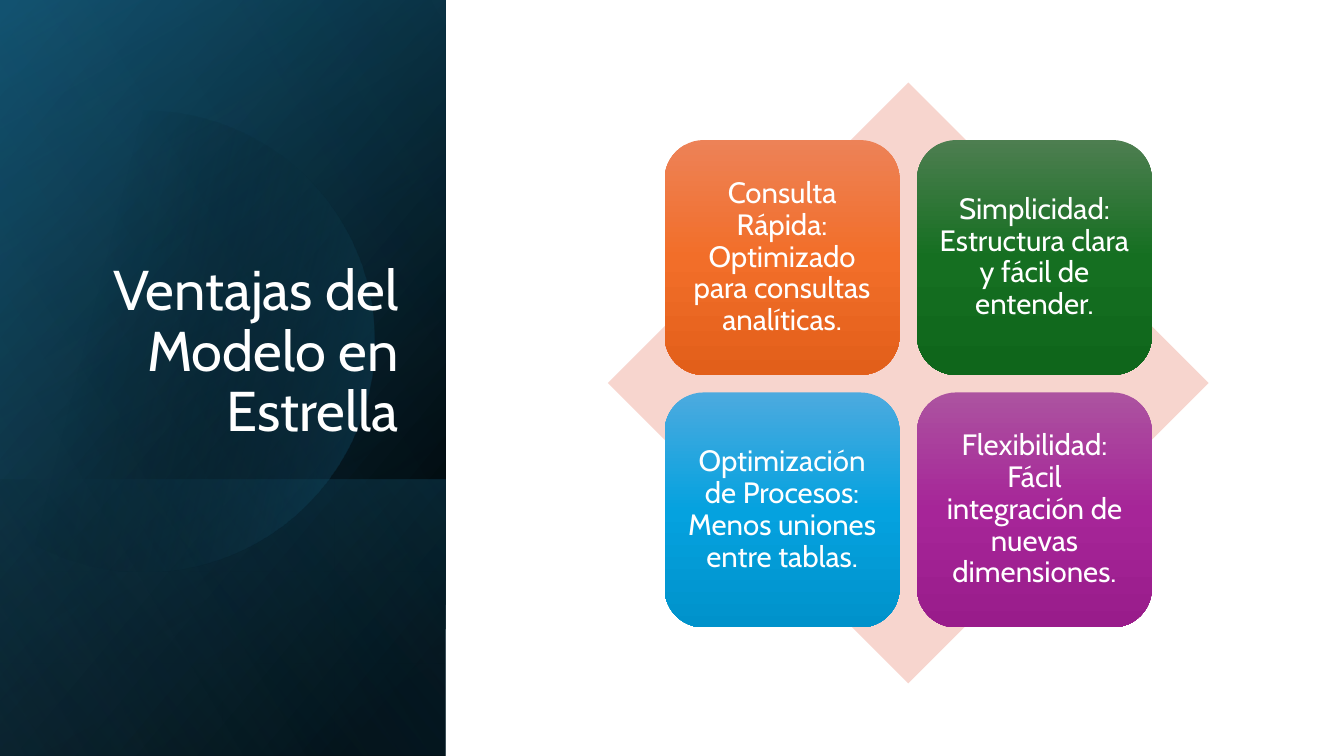
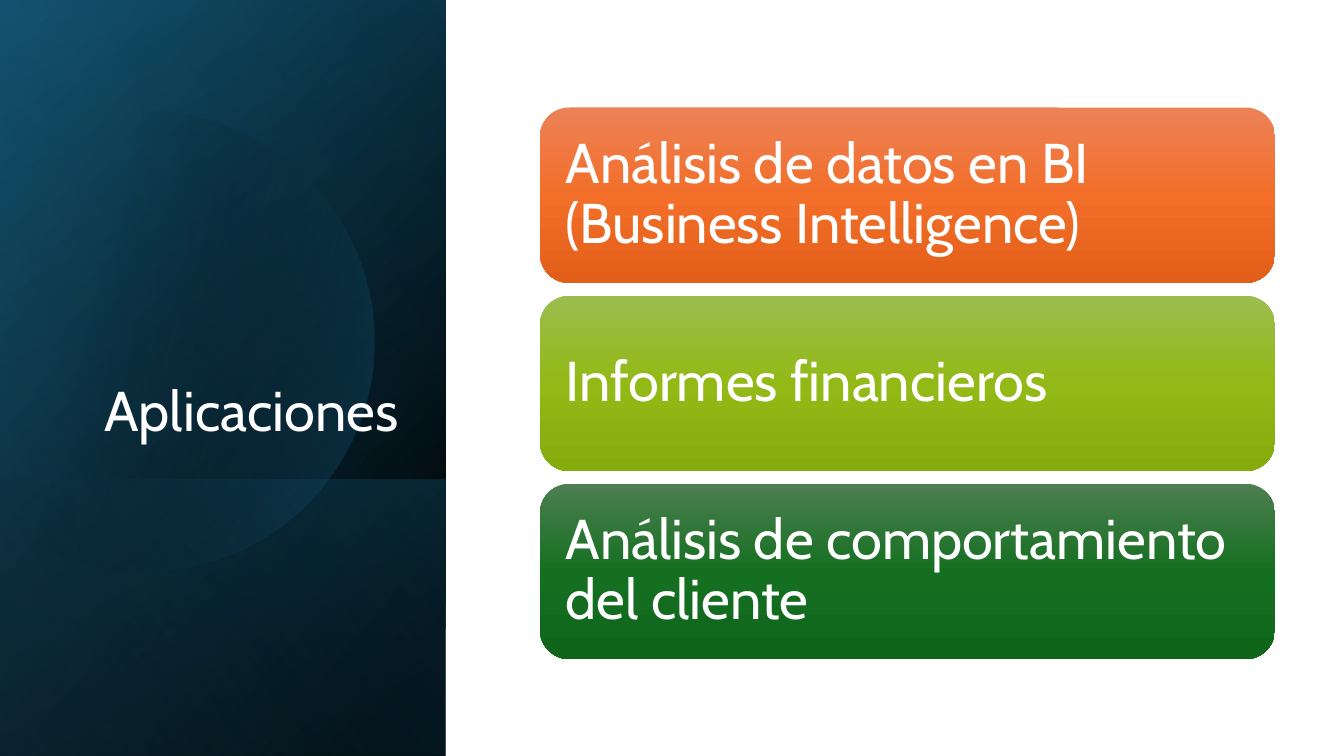
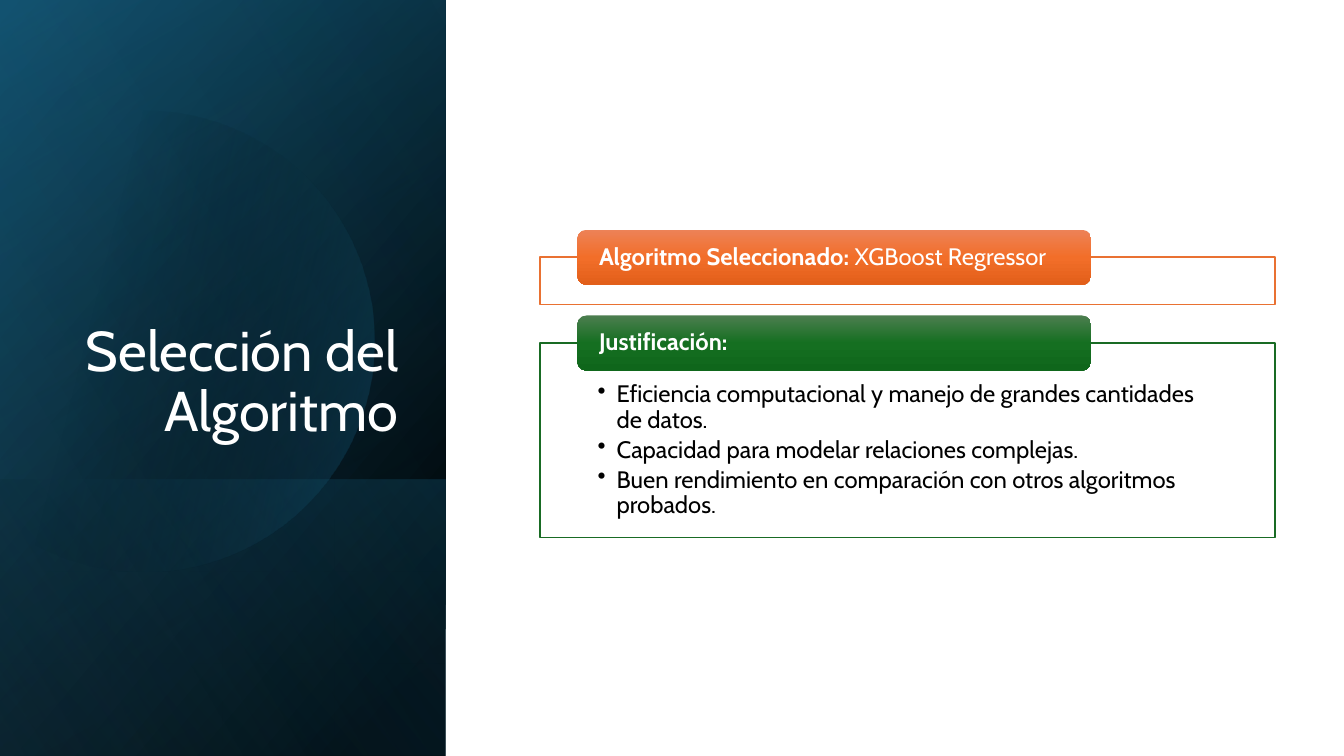
import math

from lxml import etree
from pptx import Presentation
from pptx.dml.color import RGBColor
from pptx.enum import shapes, text
from pptx.oxml import ns
from pptx.util import Cm, Pt

FONT = "Cabin"
WHITE, BLACK = "FFFFFF", "000000"
ORANGE = [(0, "ED8257"), (50, "F26E29"), (100, "E25F1A")]
LIME = [(0, "9CBD4E"), (50, "92B916"), (100, "85AB0D")]
GREEN = [(0, "4D7E50"), (50, "156F21"), (100, "0F661B")]
BLUE = [(0, "4CAADF"), (50, "05A2DF"), (100, "0092CB")]
PURPLE = [(0, "AC53A0"), (50, "A62598"), (100, "991C8B")]
SHAPE = shapes.MSO_SHAPE
LEFT, CENTER, RIGHT = (text.PP_ALIGN.LEFT, text.PP_ALIGN.CENTER,
                       text.PP_ALIGN.RIGHT)


def paint_gradient(sp, stops, angle=90):
    """Fill with (position %, colour[, opacity %]) stops; no line, no shadow."""
    sp.shadow.inherit = False
    sp.line.fill.background()
    sp.fill.background()
    grad = etree.Element(ns.qn("a:gradFill"), rotWithShape="1")
    gs_list = etree.SubElement(grad, ns.qn("a:gsLst"))
    for pos, color, *opacity in stops:
        gs = etree.SubElement(gs_list, ns.qn("a:gs"), pos=str(pos * 1000))
        clr = etree.SubElement(gs, ns.qn("a:srgbClr"), val=color)
        for pct in opacity:
            etree.SubElement(clr, ns.qn("a:alpha"), val=str(pct * 1000))
    etree.SubElement(grad, ns.qn("a:lin"), ang=str(angle * 60000), scaled="0")
    sp_pr = sp.element.spPr
    sp_pr.replace(sp_pr.find(ns.qn("a:noFill")), grad)


def format_text(tf, size, align, color=WHITE, insets=(0.25, 0.13, 0.25, 0.13),
                anchor=text.MSO_ANCHOR.MIDDLE):
    """Insets are left, top, right, bottom in cm."""
    tf.word_wrap = True
    tf.auto_size = text.MSO_AUTO_SIZE.NONE
    tf.vertical_anchor = anchor
    (tf.margin_left, tf.margin_top,
     tf.margin_right, tf.margin_bottom) = [Cm(v) for v in insets]
    for p in tf.paragraphs:
        p.alignment = align
        p.line_spacing = 0.9
        for r in p.runs:
            r.font.name = FONT
            r.font.size = Pt(size)
            r.font.color.rgb = RGBColor.from_string(color)


prs = Presentation()
prs.slide_width, prs.slide_height = Cm(33.87), Cm(19.05)

# Title-only layout: title position and dark side panel
layout = prs.slide_layouts[5]
for ph in list(layout.placeholders):
    if ph.placeholder_format.type == shapes.PP_PLACEHOLDER.TITLE:
        ph.left, ph.top, ph.width, ph.height = Cm(1.63), Cm(4.67), Cm(8.66), Cm(6.65)
    else:
        ph.element.getparent().remove(ph.element)

slides = []
for title in ("Ventajas del Modelo en Estrella", "Aplicaciones",
              "Selección del Algoritmo"):
    s = prs.slides.add_slide(layout)
    s.shapes.title.text_frame.text = title
    format_text(s.shapes.title.text_frame, 40, RIGHT,
                anchor=text.MSO_ANCHOR.BOTTOM)
    slides.append(s)
advantages, applications, algorithm = slides

PANEL_W, PANEL_H = 11.23, 19.05
panel = []
for top, height, angle, stops in (
        (0, PANEL_H, 50, [(8, BLACK), (100, "104862")]),
        (0, PANEL_H, 30, [(0, BLACK, 0), (99, "156082", 46)]),
        (12.09, 6.96, 130, [(2, "156082", 29), (100, BLACK, 30)]),
        (0, PANEL_H, 120, [(0, BLACK, 0), (99, "46B1E1", 11)])):
    # A quarter turn swaps width and height around the centre
    shift = (PANEL_W - height) / 2
    sp = advantages.shapes.add_shape(SHAPE.RECTANGLE, Cm(shift), Cm(top - shift),
                                     Cm(height), Cm(PANEL_W))
    sp.rotation = 90
    sp.element.spPr.xfrm.set("flipH", "1")
    paint_gradient(sp, stops, angle)
    panel.append(sp)

# Disc cut off by the left edge of the slide
disc_x, disc_y, radius = 3.63, 8.6, 5.8
cut = math.acos(-disc_x / radius)
arc = []
for i in range(121):
    a = cut * (i / 60 - 1)
    arc.append((Cm(disc_x + radius * math.cos(a)),
                Cm(disc_y + radius * math.sin(a))))
builder = advantages.shapes.build_freeform(*arc[0])
builder.add_line_segments(arc[1:], close=True)
disc = builder.convert_to_shape()
paint_gradient(disc, [(29, BLACK, 0), (100, "156082", 43)], 14)
panel.insert(3, disc)
for sp in panel:
    layout.shapes.element.append(sp.element)

# Slide 1: four tiles over a diamond
diamond = advantages.shapes.add_shape(SHAPE.DIAMOND, Cm(15.32), Cm(2.08),
                                      Cm(15.14), Cm(15.14))
diamond.shadow.inherit = False
diamond.line.fill.background()
diamond.fill.solid()
diamond.fill.fore_color.rgb = RGBColor.from_string("F7D5CE")
tiles = [
    ("Consulta Rápida: Optimizado para consultas analíticas.", ORANGE),
    ("Simplicidad: Estructura clara y fácil de entender.", GREEN),
    ("Optimización de Procesos: Menos uniones entre tablas.", BLUE),
    ("Flexibilidad: Fácil integración de nuevas dimensiones.", PURPLE),
]
for i, (label, stops) in enumerate(tiles):
    row, col = divmod(i, 2)
    sp = advantages.shapes.add_shape(
        SHAPE.ROUNDED_RECTANGLE, Cm(16.75 + 6.36 * col), Cm(3.53 + 6.36 * row),
        Cm(5.92), Cm(5.92))
    paint_gradient(sp, stops)
    sp.text_frame.text = label
    format_text(sp.text_frame, 21, CENTER, insets=[0.23] * 4)

# Slide 2: three bars
BODY_X, BODY_W = 13.61, 18.52
bars = [("Análisis de datos en BI (Business Intelligence)", ORANGE),
        ("Informes financieros", LIME),
        ("Análisis de comportamiento del cliente", GREEN)]
for i, (label, stops) in enumerate(bars):
    sp = applications.shapes.add_shape(
        SHAPE.ROUNDED_RECTANGLE, Cm(BODY_X), Cm(2.71 + 4.74 * i),
        Cm(BODY_W), Cm(4.42))
    paint_gradient(sp, stops)
    sp.text_frame.text = label
    format_text(sp.text_frame, 40, LEFT, insets=[0.43] * 4)

# Slide 3: framed sections with a heading over the top edge
reasons = ["Eficiencia computacional y manejo de grandes cantidades de datos.",
           "Capacidad para modelar relaciones complejas.",
           "Buen rendimiento en comparación con otros algoritmos probados."]
sections = [
    (6.48, 1.19, "E97132", ORANGE,
     ["Algoritmo Seleccionado:", " XGBoost Regressor"], []),
    (8.64, 4.9, "196B24", GREEN, ["Justificación:"], reasons),
]
for top, height, border, stops, heading, bullets in sections:
    frame = algorithm.shapes.add_shape(SHAPE.RECTANGLE, Cm(BODY_X), Cm(top),
                                       Cm(BODY_W), Cm(height))
    frame.shadow.inherit = False
    frame.fill.solid()
    frame.fill.fore_color.rgb = RGBColor.from_string(WHITE)
    frame.line.color.rgb = RGBColor.from_string(border)
    frame.line.width = Pt(1)
    if bullets:
        frame.text_frame.text = "\n".join(bullets)
        format_text(frame.text_frame, 17, LEFT, BLACK, (1.45, 0.99, 1.45, 0.33),
                    text.MSO_ANCHOR.TOP)
        for p in frame.text_frame.paragraphs:
            p.space_after = Pt(3)
            p_pr = p._p.get_or_add_pPr()
            p_pr.set("marL", str(Cm(0.48)))
            p_pr.set("indent", str(-Cm(0.48)))
            etree.SubElement(p_pr, ns.qn("a:buChar"), char="•")

    tab = algorithm.shapes.add_shape(SHAPE.ROUNDED_RECTANGLE, Cm(14.55),
                                     Cm(top - 0.69), Cm(12.95), Cm(1.39))
    paint_gradient(tab, stops)
    p = tab.text_frame.paragraphs[0]
    for i, part in enumerate(heading):
        r = p.add_run()
        r.text = part
        r.font.bold = i == 0
    format_text(tab.text_frame, 17, LEFT, insets=(0.48, 0, 0.48, 0))

prs.save("out.pptx")
